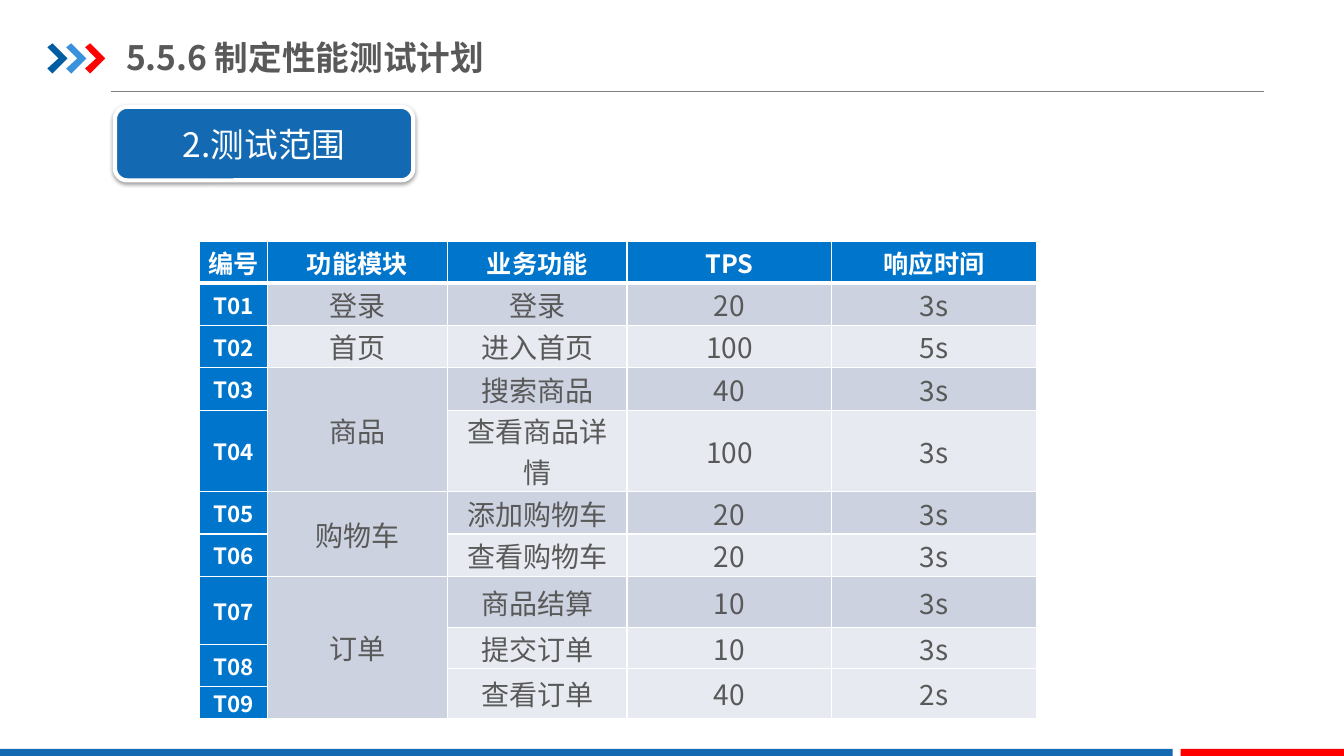
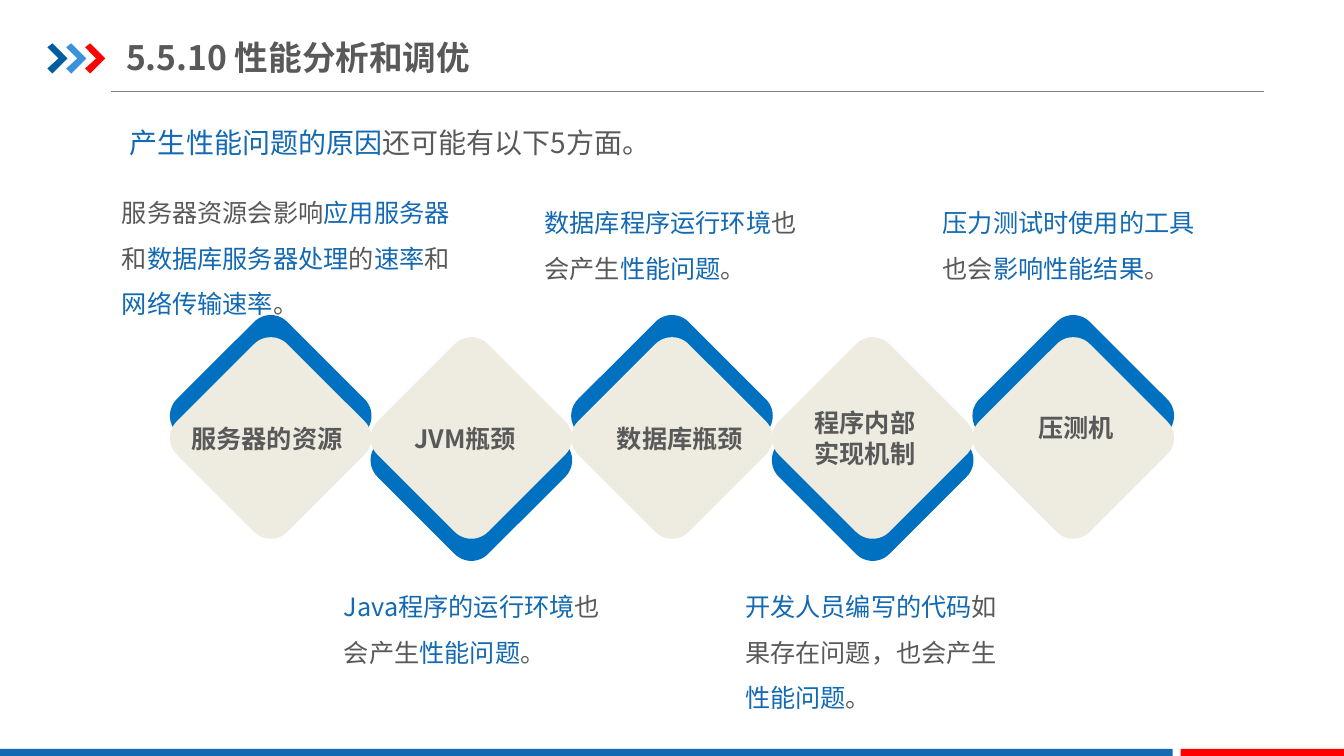
from lxml.etree import SubElement
from pptx import Presentation
from pptx.dml.color import RGBColor
from pptx.enum.shapes import MSO_CONNECTOR as Connector, MSO_SHAPE as Shape
from pptx.enum.text import MSO_ANCHOR as Anchor, MSO_AUTO_SIZE as AutoSize, PP_ALIGN as Align
from pptx.oxml.ns import qn
from pptx.util import Inches, Pt

WIDTH, HEIGHT = 13.33, 7.5
FACE = "Noto Sans CJK SC"
BLUE, RED, WHITE, GREY = "1369B2", "FF0000", "FFFFFF", "595959"
HEADER, BANDS = "0075CC", ("E7EAF0", "CCD2E0")
DIAMOND, DIAMOND_EDGE = "EEECE1", "0070C0"
ZERO = (0, 0, 0, 0)
INSET = (0.1, 0.05, 0.1, 0.05)

CHEVRON_COLOURS = ("005DA2", "3992DB", RED)
CHEVRON = ((0, 0.04), (0.05, 0), (0.2, 0.15), (0.05, 0.3), (0, 0.25), (0.11, 0.15))
FOOTER = ((0, 11.63, BLUE), (11.71, WIDTH - 11.71, RED))

SCOPE_TITLE = "5.5.6 制定性能测试计划"
SCOPE_HEADING = "2.测试范围"
SCOPE_COLUMNS = (0.67, 1.79, 1.78, 2.03, 2.03)
SCOPE_ROWS = (
    (0.42, "编号", "功能模块", "业务功能", "TPS", "响应时间"),
    (0.42, "T01", "登录", "登录", "20", "3s"),
    (0.42, "T02", "首页", "进入首页", "100", "5s"),
    (0.42, "T03", "商品", "搜索商品", "40", "3s"),
    (0.81, "T04", None, "查看商品详情", "100", "3s"),
    (0.42, "T05", "购物车", "添加购物车", "20", "3s"),
    (0.42, "T06", None, "查看购物车", "20", "3s"),
    (0.51, "T07", "订单", "商品结算", "10", "3s"),
    (0.17, None, None, "提交订单", "10", "3s"),
    (0.23, "T08", None, None, None, None),
    (0.18, None, None, "查看订单", "40", "2s"),
    (0.32, "T09", None, None, None, None),
)

CAUSES_TITLE = "5.5.10 性能分析和调优"
CAUSES_INTRO = ("", "产生性能问题的原因", "还可能有以下5方面。")
CAUSES = (
    {"label": "服务器的资源", "label_at": (1.8, 4.2, 1.86, 0.29), "note_at": (1.21, 1.81, 3.46, 1.41),
     "note": ("服务器资源会影响", "应用服务器", "和", "数据库服务器处理", "的", "速率", "和", "网络传输速率", "。")},
    {"label": "JVM瓶颈", "label_at": (4.01, 4.2, 1.32, 0.29), "note_at": (3.41, 5.72, 2.55, 0.91),
     "note": ("", "Java程序的运行环境", "也会产生", "性能问题", "。")},
    {"label": "数据库瓶颈", "label_at": (6.02, 4.2, 1.53, 0.29), "note_at": (5.4, 1.91, 2.55, 0.91),
     "note": ("", "数据库程序运行环境", "也会产生", "性能问题", "。")},
    {"label": "程序内部实现机制", "label_at": (7.98, 4.2, 1.32, 0.29), "note_at": (7.39, 5.72, 2.55, 1.36),
     "note": ("", "开发人员编写的代码", "如果存在问题，也会产生", "性能问题", "。")},
    {"label": "压测机", "label_at": (10.2, 4.12, 1.09, 0.24), "note_at": (9.35, 1.91, 2.55, 0.91),
     "note": ("", "压力测试时使用的工具", "也会", "影响性能结果", "。")},
)
DIAMOND_LEFT, DIAMOND_TOP, DIAMOND_SIDE = 1.91, 3.57, 1.55
DIAMOND_PITCH, EDGE_SHIFT = 1.99, 0.22


def rgb(colour):
    return RGBColor.from_string(colour)


def box(*lengths):
    return [Inches(length) for length in lengths]


def set_all(target, **values):
    for name, value in values.items():
        setattr(target, name, value)


def write(frame, parts, size, colours=(GREY,), bold=False, align=Align.LEFT, spacing=None):
    paragraph = frame.paragraphs[0]
    set_all(paragraph, alignment=align, line_spacing=spacing)
    for index, part in enumerate(parts):
        if part:
            run = paragraph.add_run()
            run.text = part
            set_all(run.font, name=FACE, size=Pt(size), bold=bold)
            run.font.color.rgb = rgb(colours[index % len(colours)])
            SubElement(run.font._element, qn("a:ea"), typeface=FACE)


def set_frame(frame, insets, anchor):
    left, top, right, bottom = box(*insets)
    set_all(frame, margin_left=left, margin_top=top, margin_right=right, margin_bottom=bottom,
            vertical_anchor=anchor, word_wrap=True, auto_size=AutoSize.NONE)


def add_text(slide, place, parts, size, insets=INSET, anchor=Anchor.TOP, **style):
    frame = slide.shapes.add_textbox(*box(*place)).text_frame
    set_frame(frame, insets, anchor)
    write(frame, parts, size, **style)


def paint(shape, colour):
    shape.shadow.inherit = False
    shape.fill.solid()
    shape.fill.fore_color.rgb = rgb(colour)
    shape.line.fill.background()
    return shape


def add_block(slide, kind, place, colour):
    return paint(slide.shapes.add_shape(kind, *box(*place)), colour)


def draw_frame(slide):
    rule = slide.shapes.add_connector(Connector.STRAIGHT, *box(1.1, 0.91, 12.54, 0.91))
    rule.line.color.rgb = rgb("808080")
    rule.line.width = Pt(0.75)
    SubElement(rule._element.spPr, qn("a:effectLst"))
    parts = [rule]
    for index, colour in enumerate(CHEVRON_COLOURS):
        start, *rest = [box(0.47 + 0.187 * index + x, 0.43 + y) for x, y in CHEVRON]
        outline = slide.shapes.build_freeform(*start)
        outline.add_line_segments(rest, close=True)
        parts.append(paint(outline.convert_to_shape(), colour))
    for left, width, colour in FOOTER:
        parts.append(add_block(slide, Shape.RECTANGLE, (left, 7.43, width, HEIGHT - 7.43), colour))
    return parts


def prepare_layout(layout, slide):
    for holder in list(layout.placeholders):
        if holder.placeholder_format.idx:
            holder.element.getparent().remove(holder.element)
    for part in draw_frame(slide):
        layout.shapes.element.append(part.element)


def add_title(slide, text):
    title = slide.shapes.title
    left, top, width, height = box(1.25, 0.29, 9.27, 0.55)
    set_all(title, left=left, top=top, width=width, height=height)
    set_frame(title.text_frame, (0, 0.07, 0, 0.07), Anchor.MIDDLE)
    write(title.text_frame, [text], 24, bold=True)


def set_borders(cell, bottom):
    properties = cell._tc.get_or_add_tcPr()
    for side, width in (("L", 1), ("R", 1), ("T", 1), ("B", bottom)):
        line = SubElement(properties, qn("a:ln" + side), w=str(Pt(width)))
        SubElement(SubElement(line, qn("a:solidFill")), qn("a:srgbClr"), val=WHITE)


def add_scope_table(slide):
    heights = [row[0] for row in SCOPE_ROWS]
    grid = [row[1:] for row in SCOPE_ROWS]
    place = box(1.98, 2.39, sum(SCOPE_COLUMNS), sum(heights))
    table = slide.shapes.add_table(len(grid), len(SCOPE_COLUMNS), *place).table
    set_all(table, first_row=False, horz_banding=False)
    for column, width in zip(table.columns, SCOPE_COLUMNS):
        column.width = Inches(width)
    for row, height in zip(table.rows, heights):
        row.height = Inches(height)
    for r, texts in enumerate(grid):
        for c, text in enumerate(texts):
            cell = table.cell(r, c)
            heading = r == 0 or c == 0
            set_borders(cell, 1 if r else 3)
            set_all(cell, margin_left=Inches(0.07), margin_right=Inches(0.07),
                    margin_top=0, margin_bottom=0, vertical_anchor=Anchor.MIDDLE)
            cell.fill.solid()
            cell.fill.fore_color.rgb = rgb(HEADER if heading else BANDS[r % 2])
            if text is None:
                continue
            end = r
            while end + 1 < len(grid) and grid[end + 1][c] is None:
                end += 1
            if end > r:
                cell.merge(table.cell(end, c))
            size = 18 if r == 0 else 16 if c == 0 else 20
            write(cell.text_frame, [text], size, (WHITE if heading else GREY,), heading, Align.CENTER)


def add_scope_heading(slide):
    heading = add_block(slide, Shape.ROUNDED_RECTANGLE, (1.14, 1.06, 2.96, 0.73), BLUE)
    heading.line.color.rgb = rgb(WHITE)
    heading.line.width = Pt(3)
    effects = heading._element.spPr.find(qn("a:effectLst"))
    shadow = SubElement(effects, qn("a:outerShdw"), blurRad=str(Pt(3.1)), dist=str(Pt(1.6)),
                        dir="5400000", rotWithShape="0")
    SubElement(SubElement(shadow, qn("a:srgbClr"), val="000000"), qn("a:alpha"), val="38000")
    set_frame(heading.text_frame, INSET, Anchor.MIDDLE)
    write(heading.text_frame, [SCOPE_HEADING], 24, (WHITE,), align=Align.CENTER)


def add_cause(slide, index, cause):
    left = DIAMOND_LEFT + DIAMOND_PITCH * index
    shift, turn = (EDGE_SHIFT, 135) if index % 2 else (-EDGE_SHIFT, 315)
    for top, colour in ((DIAMOND_TOP + shift, DIAMOND_EDGE), (DIAMOND_TOP, DIAMOND)):
        diamond = add_block(slide, Shape.ROUNDED_RECTANGLE, (left, top, DIAMOND_SIDE, DIAMOND_SIDE), colour)
        diamond.adjustments[0] = 0.15
        diamond.rotation = turn
    add_text(slide, cause["label_at"], [cause["label"]], 18, anchor=Anchor.MIDDLE, bold=True)
    add_text(slide, cause["note_at"], cause["note"], 18, ZERO, colours=(GREY, BLUE), spacing=1.5)


def main():
    deck = Presentation()
    deck.slide_width, deck.slide_height = box(WIDTH, HEIGHT)
    layout = deck.slide_layouts[5]

    scope = deck.slides.add_slide(layout)
    prepare_layout(layout, scope)
    add_title(scope, SCOPE_TITLE)
    add_scope_table(scope)
    add_scope_heading(scope)

    causes = deck.slides.add_slide(layout)
    add_title(causes, CAUSES_TITLE)
    for index, cause in enumerate(CAUSES):
        add_cause(causes, index, cause)
    add_text(causes, (1.19, 1.2, 5.42, 0.44), CAUSES_INTRO, 20, colours=(GREY, BLUE))

    deck.save("out.pptx")


if __name__ == "__main__":
    main()
